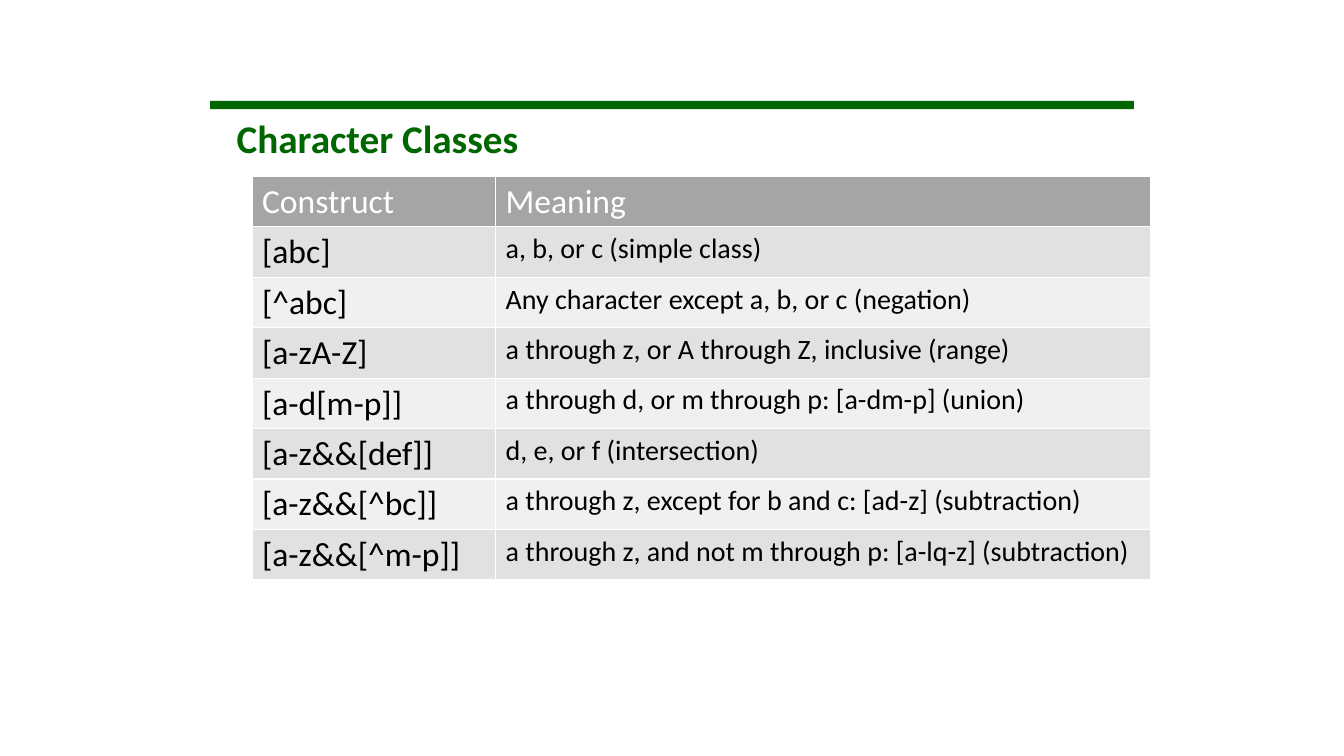
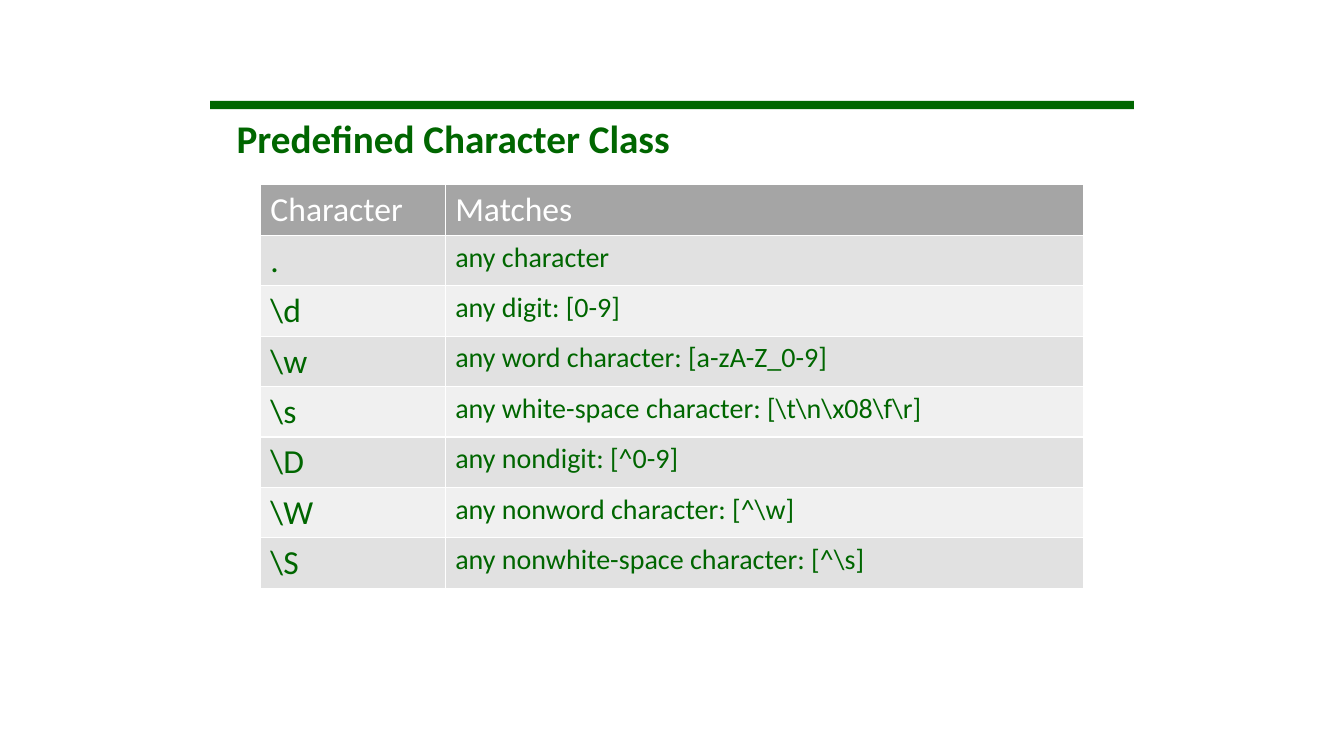
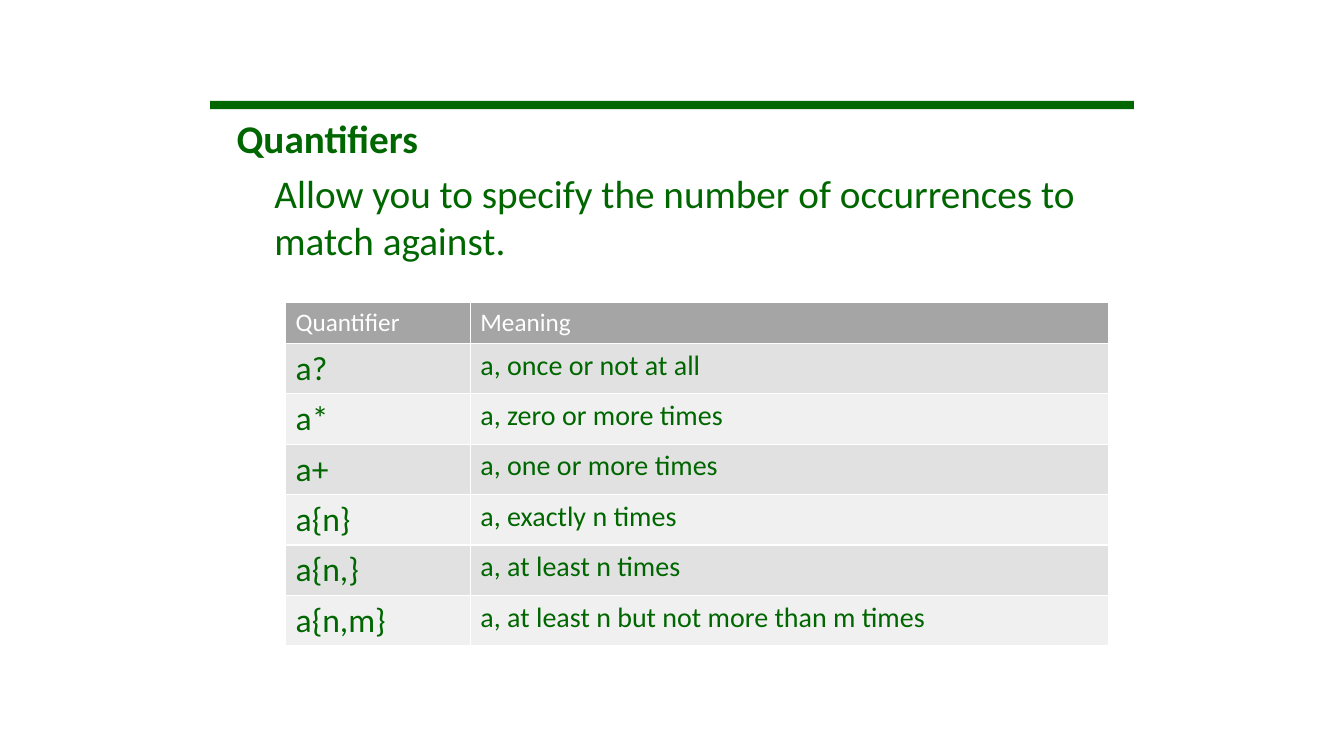
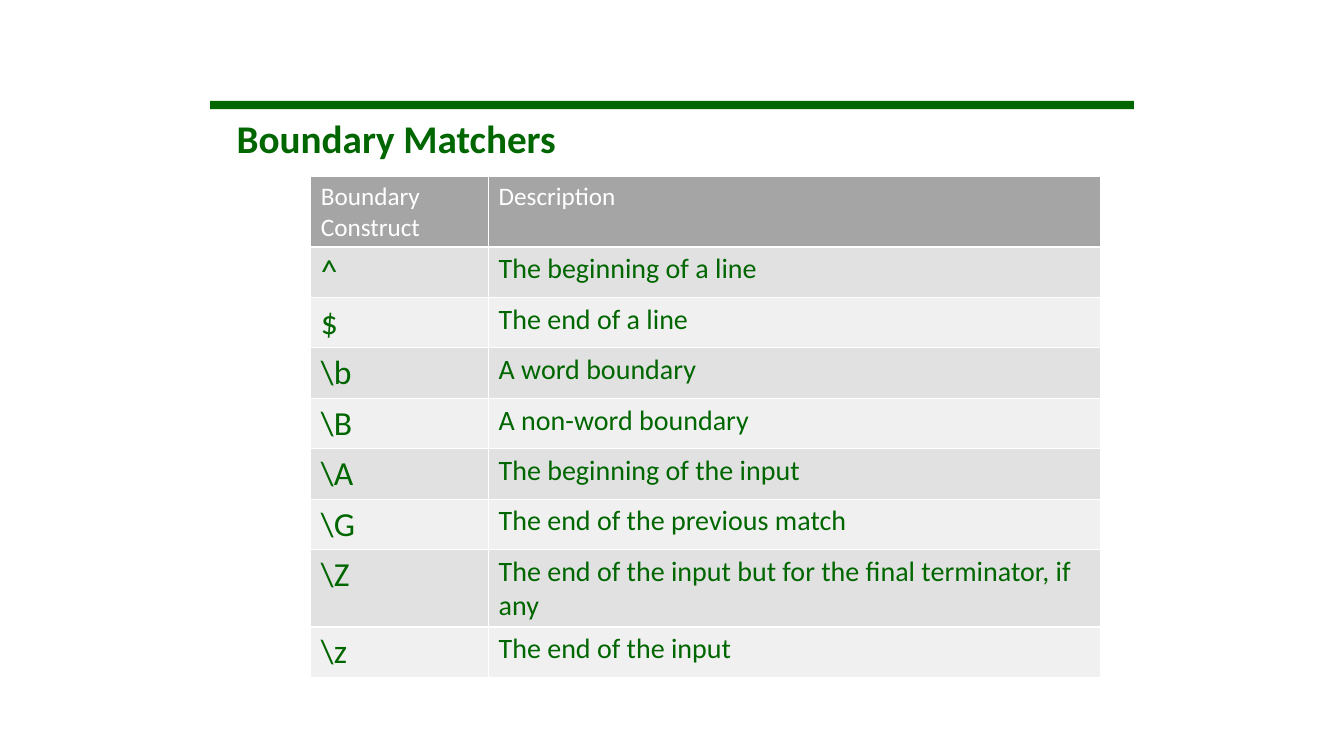
"""Build four slides of regular expression reference tables."""
from dataclasses import dataclass

from pptx import Presentation
from pptx.dml.color import RGBColor
from pptx.enum import shapes, text
from pptx.util import Pt


@dataclass(frozen=True)
class Theme:
    font: str = "Calibri"
    green: str = "006600"
    black: str = "000000"
    white: str = "FFFFFF"
    header: str = "A5A5A5"
    bands: tuple = ("E1E1E1", "F0F0F0")
    title: float = 28
    term: float = 24
    meaning: float = 20
    small: float = 18


theme = Theme()


def write(para, words, size, color, bold=False, margin=0, indent=0, before=0):
    if margin:
        props = para._p.get_or_add_pPr()
        props.set("marL", str(Pt(margin)))
        props.set("indent", str(Pt(indent)))
    if before:
        para.space_before = Pt(before)
    span = para.add_run()
    span.text = words
    span.font.name = theme.font
    span.font.size = Pt(size)
    span.font.bold = bold
    span.font.color.rgb = RGBColor.from_string(color)


def paint(shape, color):
    shape.fill.solid()
    shape.fill.fore_color.rgb = RGBColor.from_string(color)


pages = [
    dict(
        title="Character Classes", left=180, top=126, widths=(174, 468),
        head_size=theme.term, color=theme.black,
        rows=[
            ("Construct", "Meaning"),
            ("[abc]", "a, b, or c (simple class)"),
            ("[^abc]", "Any character except a, b, or c (negation)"),
            ("[a-zA-Z]", "a through z, or A through Z, inclusive (range)"),
            ("[a-d[m-p]]", "a through d, or m through p: [a-dm-p] (union)"),
            ("[a-z&&[def]]", "d, e, or f (intersection)"),
            ("[a-z&&[^bc]]", "a through z, except for b and c: [ad-z] (subtraction)"),
            ("[a-z&&[^m-p]]", "a through z, and not m through p: [a-lq-z] (subtraction)"),
        ],
    ),
    dict(
        title="Predefined Character Class", left=186, top=132, widths=(132, 456),
        head_size=theme.term, color=theme.green,
        rows=[
            ("Character", "Matches"),
            (".", "any character"),
            (r"\d", "any digit: [0-9]"),
            (r"\w", "any word character: [a-zA-Z_0-9]"),
            (r"\s", r"any white-space character: [\t\n\x08\f\r]"),
            (r"\D", "any nondigit: [^0-9]"),
            (r"\W", r"any nonword character: [^\w]"),
            (r"\S", r"any nonwhite-space character: [^\s]"),
        ],
    ),
    dict(
        title="Quantifiers", left=204, top=216, widths=(132, 456),
        intro="Allow you to specify the number of occurrences to match against.",
        head_size=theme.small, color=theme.green,
        rows=[
            ("Quantifier", "Meaning"),
            ("a?", "a, once or not at all"),
            ("a*", "a, zero or more times"),
            ("a+", "a, one or more times"),
            ("a{n}", "a, exactly n times"),
            ("a{n,}", "a, at least n times"),
            ("a{n,m}", "a, at least n but not more than m times"),
        ],
    ),
    dict(
        title="Boundary Matchers", left=222, top=126, widths=(127, 437),
        head_size=theme.small, color=theme.green,
        rows=[
            ("Boundary\nConstruct", "Description"),
            ("^", "The beginning of a line"),
            ("$", "The end of a line"),
            (r"\b", "A word boundary"),
            (r"\B", "A non-word boundary"),
            (r"\A", "The beginning of the input"),
            (r"\G", "The end of the previous match"),
            (r"\Z", "The end of the input but for the final terminator, if any"),
            (r"\z", "The end of the input"),
        ],
    ),
]

deck = Presentation()
deck.slide_width, deck.slide_height = Pt(960), Pt(540)

for content in pages:
    page = deck.slides.add_slide(deck.slide_layouts[6])

    bar = page.shapes.add_shape(
        shapes.MSO_SHAPE.RECTANGLE, Pt(150), Pt(72), Pt(660), Pt(6))
    bar.shadow.inherit = False
    paint(bar, theme.green)
    bar.line.fill.background()

    intro = content.get("intro")
    box = page.shapes.add_textbox(Pt(162), Pt(78), Pt(648), Pt(116 if intro else 41))
    frame = box.text_frame
    frame.word_wrap = True
    frame.auto_size = text.MSO_AUTO_SIZE.SHAPE_TO_FIT_TEXT
    write(frame.paragraphs[0], content["title"], theme.title, theme.green,
          bold=True, margin=27, indent=-27)
    if intro:
        write(frame.add_paragraph(), intro, theme.title, theme.green,
              margin=27, before=5.6)

    rows, widths = content["rows"], content["widths"]
    table = page.shapes.add_table(
        len(rows), len(widths), Pt(content["left"]), Pt(content["top"]),
        Pt(sum(widths)), Pt(29.2 * len(rows))).table
    for column, width in zip(table.columns, widths):
        column.width = Pt(width)
    for r, row in enumerate(rows):
        for c, words in enumerate(row):
            if r == 0:
                fill, size, color = theme.header, content["head_size"], theme.white
            else:
                fill = theme.bands[(r - 1) % 2]
                size = (theme.term, theme.meaning)[c]
                color = content["color"]
            cell = table.cell(r, c)
            paint(cell, fill)
            for n, line in enumerate(words.split("\n")):
                para = cell.text_frame.add_paragraph() if n else cell.text_frame.paragraphs[0]
                write(para, line, size, color)

deck.save("out.pptx")
